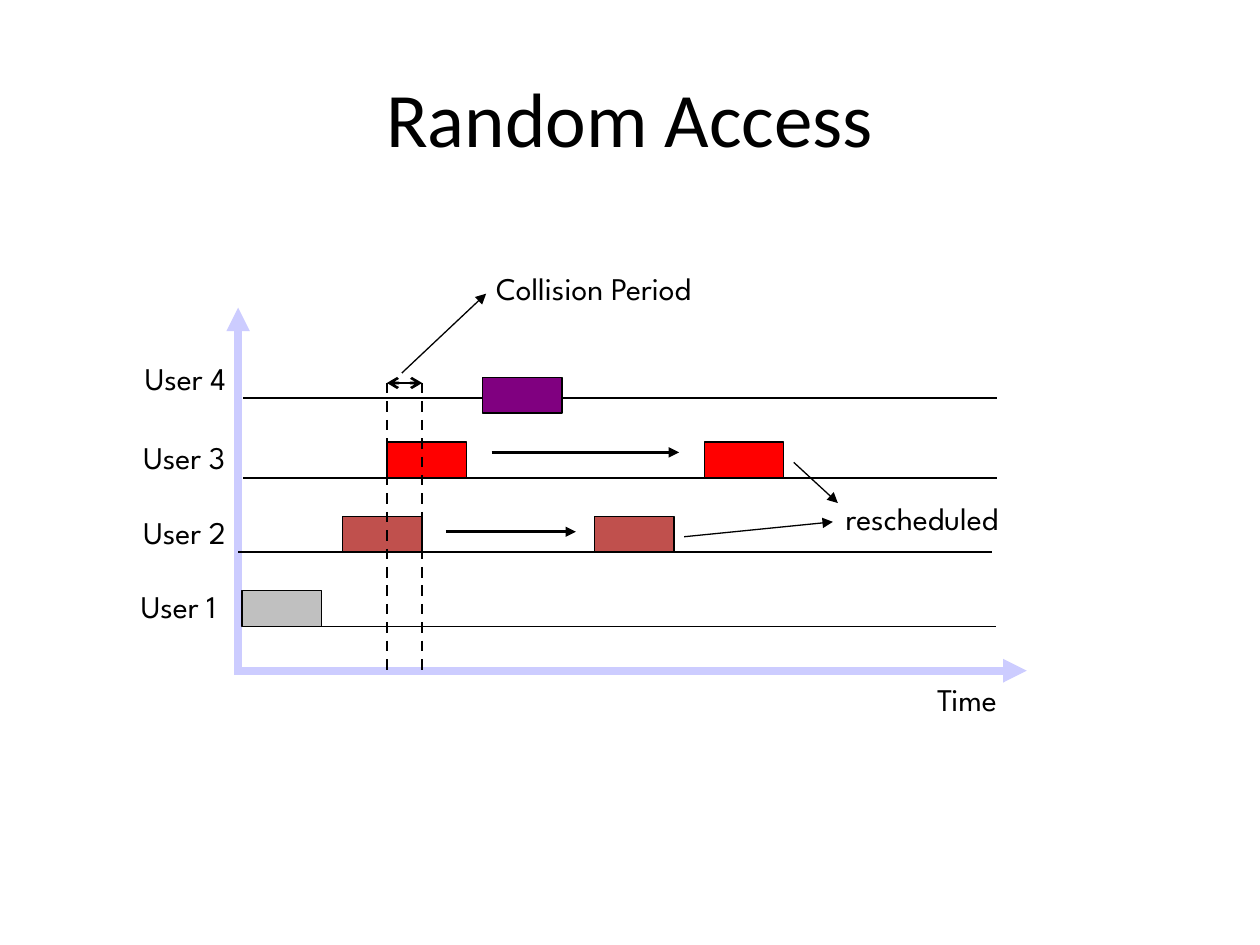
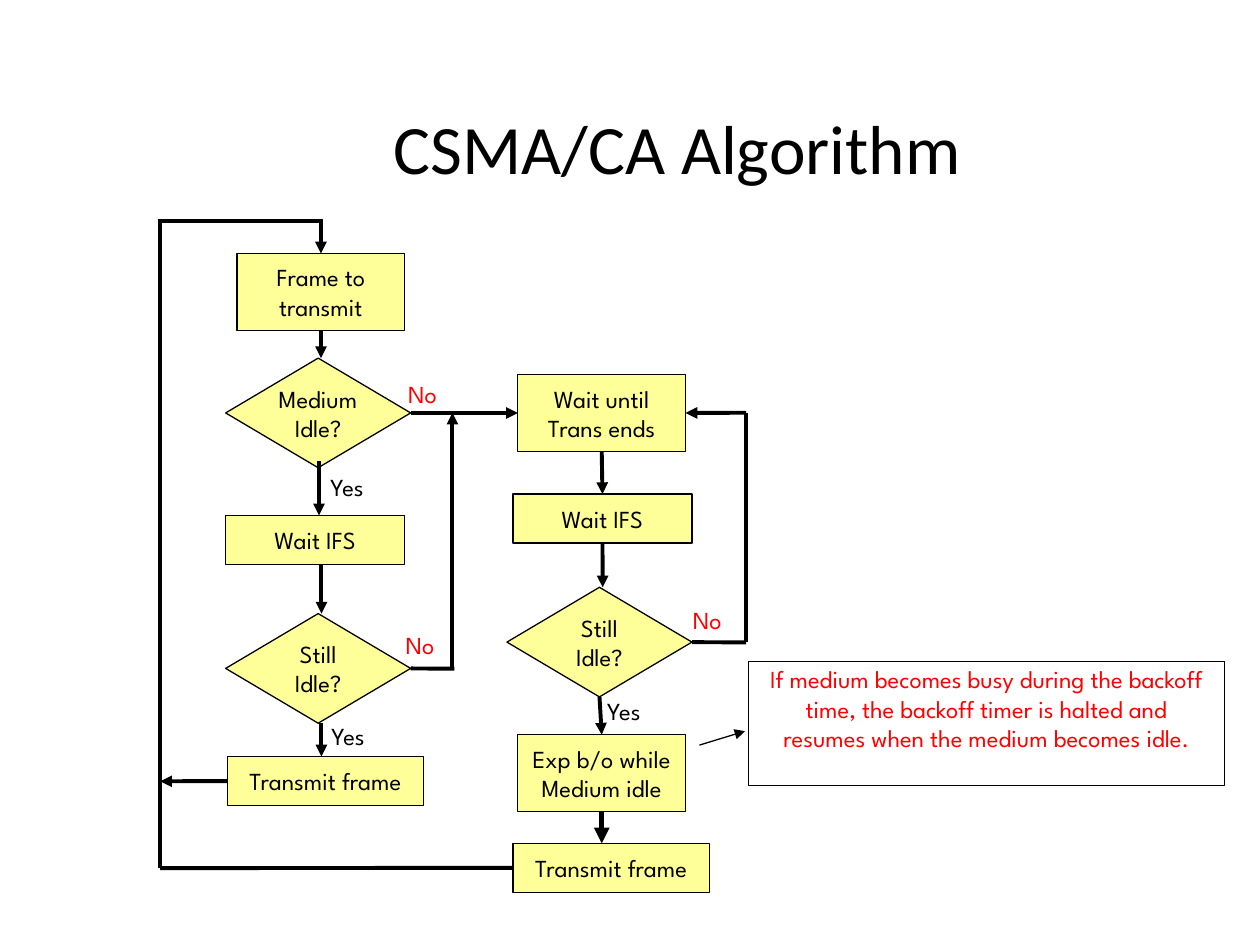
from dataclasses import dataclass

from lxml import etree
from pptx import Presentation
from pptx.dml.color import RGBColor
from pptx.enum.dml import MSO_LINE
from pptx.enum.shapes import MSO_CONNECTOR, MSO_SHAPE
from pptx.enum.text import MSO_ANCHOR, MSO_AUTO_SIZE, PP_ALIGN
from pptx.oxml.ns import qn
from pptx.slide import Slide
from pptx.util import Cm, Pt

COLOURS = {
    "ink": "000000", "axis": "CCCCFF", "alert": "FF0000", "step": "FFFF99",
    "user 1": "C0C0C0", "user 2": "C0504D", "user 3": "FF0000", "user 4": "800080",
}
TITLE_FONT = "Calibri"
BODY_FONT = "League Spartan"
TOP, LEFT, BOTTOM, RIGHT = range(4)


def rgb(name):
    return RGBColor.from_string(COLOURS[name])


def write(frame, text, size, colour="ink", font=BODY_FONT, align=PP_ALIGN.CENTER):
    frame.text = text
    for paragraph in frame.paragraphs:
        paragraph.alignment = align
        paragraph.font.size = Pt(size)
        paragraph.font.name = font
        paragraph.font.color.rgb = rgb(colour)


@dataclass
class Region:
    """A box on a slide, in cm; its parts are placed from its top left corner."""
    slide: Slide
    left: float
    top: float
    width: float
    height: float

    def at(self, x, y):
        return Cm(self.left + x), Cm(self.top + y)

    def label(self, text, x, y, width, size, colour="ink"):
        box = self.slide.shapes.add_textbox(*self.at(x, y), Cm(width), Cm(1.02))
        write(box.text_frame, text, size, colour, align=PP_ALIGN.LEFT)
        box.text_frame.word_wrap = False
        box.text_frame.auto_size = MSO_AUTO_SIZE.SHAPE_TO_FIT_TEXT

    def block(self, x, y, width, height, fill=None, text="", colour="ink",
              preset=MSO_SHAPE.RECTANGLE):
        block = self.slide.shapes.add_shape(
            preset, *self.at(x, y), Cm(width), Cm(height))
        block.shadow.inherit = False
        if fill:
            block.fill.solid()
            block.fill.fore_color.rgb = rgb(fill)
        else:
            block.fill.background()
        block.line.color.rgb = rgb("ink")
        block.line.width = Pt(0.75)
        if text:
            write(block.text_frame, text, 14, colour)
            block.text_frame.word_wrap = False
            block.text_frame.vertical_anchor = MSO_ANCHOR.MIDDLE
        return block

    def line(self, start, end, weight, colour="ink", head=None, tail=None,
             dashed=False, begin=None, finish=None):
        """begin and finish are (shape, side) pairs that the ends are joined to."""
        line = self.slide.shapes.add_connector(
            MSO_CONNECTOR.STRAIGHT, *self.at(*start), *self.at(*end))
        if begin:
            line.begin_connect(*begin)
        if finish:
            line.end_connect(*finish)
        line.line.color.rgb = rgb(colour)
        line.line.width = Pt(weight)
        if dashed:
            line.line.dash_style = MSO_LINE.DASH
        properties = line.line._get_or_add_ln()
        for tag, arrow in (("a:headEnd", head), ("a:tailEnd", tail)):
            if arrow:
                etree.SubElement(properties, qn(tag), type=arrow)
        etree.SubElement(line._element.spPr, qn("a:effectLst"))

    def arrow(self, start, end, weight, **options):
        self.line(start, end, weight, tail="triangle", **options)


def add_title(region, text, size):
    title = region.slide.shapes.add_textbox(
        *region.at(0, 0), Cm(region.width), Cm(region.height))
    title.text_frame.word_wrap = True
    title.text_frame.vertical_anchor = MSO_ANCHOR.MIDDLE
    write(title.text_frame, text, size, font=TITLE_FONT)


def draw_access_timeline(region):
    """Four users' lanes over time, with the collision and the rescheduled frames."""
    width, height = region.width, region.height
    region.arrow((0, height), (width, height), 4.5, colour="axis")
    region.arrow((0, height + 0.08), (0, 0), 4.5, colour="axis")

    frame_width, frame_height = 1.6, 0.72
    # user: lane height, lane start, label left, frame sink, frame starts
    lanes = {
        4: (1.83, 0.1, -2.13, 0.3, [4.93]),
        3: (3.43, 0.1, -2.16, 0, [3, 9.4]),
        2: (4.93, 0, -2.16, 0, [2.11, 7.19]),
        1: (6.43, 0.08, -2.21, 0, [0.08]),
    }
    for user, (lane, start, label_left, sink, frames) in lanes.items():
        region.line((start, lane), (start + 15.2, lane), 1)
        region.label(f"User {user}", label_left, lane - 0.92, 2.29, 18)
        for frame in frames:
            region.block(frame, lane + sink - frame_height,
                         frame_width, frame_height, f"user {user}")

    collision_top = 1.52
    collision_start = lanes[3][4][0]
    collision_end = lanes[2][4][0] + frame_width
    for edge in (collision_start, collision_end):
        region.line((edge, collision_top), (edge, height), 1.5, dashed=True)
    region.line((collision_start, collision_top), (collision_end, collision_top),
                1.5, head="arrow", tail="arrow")

    for start, end, y in ((5.11, 8.89, 2.92), (4.19, 6.81, 4.52)):
        region.arrow((start, y), (end, y), 1.5)

    region.label("Collision Period", 4.95, -0.91, 4.75, 18)
    region.label("rescheduled", 12, 3.73, 3.78, 18)
    region.label("Time", 13.84, 7.39, 1.78, 18)
    for start, end in (((3.3, 1.32), (5, -0.28)),
                       ((11.2, 3.12), (12.09, 3.94)),
                       ((8.99, 4.62), (11.99, 4.32))):
        region.arrow(start, end, 0.75)


def draw_csma_flowchart(region):
    def step(text, x, y, width=3.38, height=1.55):
        return region.block(x, y, width, height, "step", text)

    def short_step(text, x, y, width):
        return step(text, x, y, width, 0.99)

    def decision(text, x, y):
        return region.block(x, y, 3.73, 2.21, "step", text, preset=MSO_SHAPE.DIAMOND)

    frame = step("Frame to\ntransmit", 1.6, 0.66)
    medium_idle = decision("Medium\nIdle?", 1.37, 2.77)
    short_step("Wait IFS", 1.37, 5.94, 3.61)
    still_idle = decision("Still\nIdle?", 1.37, 7.92)
    transmit = short_step("Transmit frame", 1.4, 10.8, 3.96)

    wait_end = step("Wait until\nTrans ends", 7.26, 3.1)
    second_wait = short_step("Wait IFS", 7.16, 5.51, 3.61)
    still_idle_again = decision("Still\nIdle?", 7.04, 7.39)
    backoff = step("Exp b/o while\nMedium idle", 7.26, 10.36)
    second_transmit = short_step("Transmit frame", 7.16, 12.55, 3.96)

    thick = 2.25
    # Downward flow, left column then right column
    region.arrow((3.29, 2.2), (3.29, 2.77), thick, begin=(frame, BOTTOM))
    for x, start, end in ((3.25, 4.85, 5.94), (3.3, 6.93, 7.92), (3.3, 10.13, 10.8)):
        region.arrow((x, start), (x, end), thick)
    region.arrow((8.95, 4.65), (8.95, 5.51), thick,
                 begin=(wait_end, BOTTOM), finish=(second_wait, TOP))
    region.arrow((8.97, 6.5), (8.97, 7.39), thick, begin=(second_wait, BOTTOM))
    region.arrow((8.9, 9.6), (8.95, 10.36), thick,
                 begin=(still_idle_again, BOTTOM), finish=(backoff, TOP))
    region.arrow((8.95, 11.91), (8.95, 12.55), 3, begin=(backoff, BOTTOM))

    # "No" branches
    busy_y, left_no_y, right_no_y = 3.87, 9.03, 8.5
    left_rail, right_rail = 5.94, 11.86
    region.arrow((5.1, busy_y), (7.26, busy_y), thick,
                 begin=(medium_idle, RIGHT), finish=(wait_end, LEFT))
    region.line((5.1, left_no_y), (left_rail + 0.04, left_no_y), thick,
                begin=(still_idle, RIGHT))
    region.arrow((left_rail, left_no_y), (left_rail, busy_y), thick)
    region.line((10.77, right_no_y), (right_rail, right_no_y), thick,
                begin=(still_idle_again, RIGHT))
    region.line((right_rail, right_no_y), (right_rail, busy_y), thick)
    region.arrow((right_rail, busy_y), (10.64, busy_y), thick,
                 finish=(wait_end, RIGHT))

    # Return to the first step
    return_rail, return_y = 0.05, 13.05
    region.line((return_rail, 0), (return_rail, return_y), thick)
    region.line((7.16, return_y), (return_rail, return_y), thick,
                begin=(second_transmit, LEFT))
    region.arrow((1.4, 11.3), (return_rail, 11.3), thick, begin=(transmit, LEFT))
    region.line((0, 0), (3.33, 0), thick)
    region.arrow((3.29, 0), (3.29, 0.66), thick, finish=(frame, TOP))

    for x, y in ((4.8, 3.07), (10.54, 7.62), (4.75, 8.13)):
        region.label("No", x, y, 1.37, 14, "alert")
    for x, y in ((3.23, 4.95), (8.81, 9.45), (3.25, 9.96)):
        region.label("Yes", x, y, 1.65, 14)

    note = region.block(
        11.91, 8.89, 9.6, 2.49, colour="alert",
        text="If medium becomes busy during the backoff\n"
             "time, the backoff timer is halted and\n"
             "resumes when the medium becomes idle.")
    note.text_frame.margin_bottom = Cm(0.73)
    region.arrow((10.92, 10.57), (11.84, 10.29), 0.75)


def main():
    deck = Presentation()
    deck.slide_width, deck.slide_height = Cm(25.4), Cm(19.05)
    blank = deck.slide_layouts[6]

    random_access = deck.slides.add_slide(blank)
    add_title(Region(random_access, 1.27, 0.76, 22.86, 3.18), "Random Access", 44)
    draw_access_timeline(Region(random_access, 4.8, 6.2, 15.9, 7.32))

    csma = deck.slides.add_slide(blank)
    add_title(Region(csma, 2.54, 2.11, 22.23, 1.7), "CSMA/CA Algorithm", 39.6)
    draw_csma_flowchart(Region(csma, 3.18, 4.45, 21.51, 13.54))

    deck.save("out.pptx")


if __name__ == "__main__":
    main()
